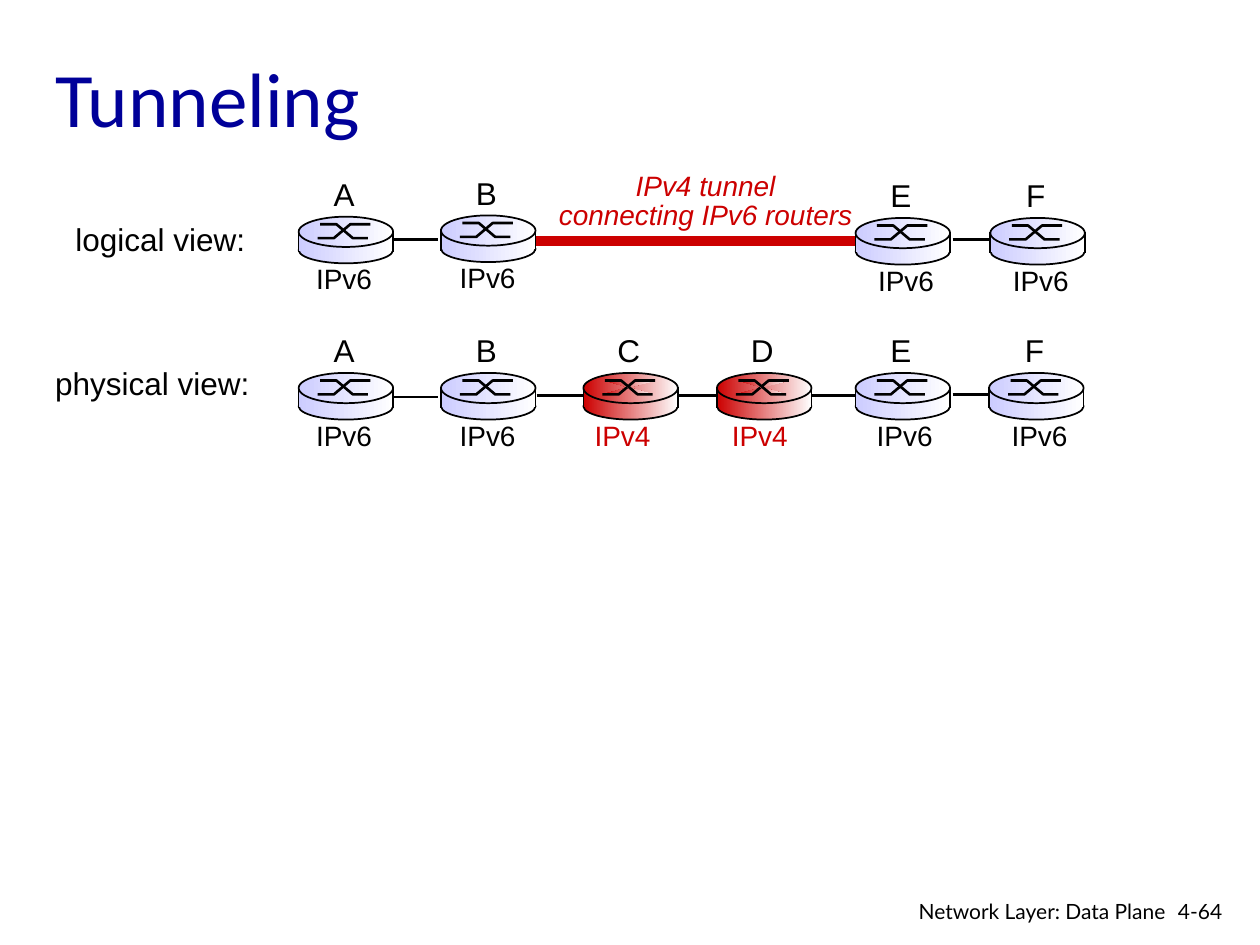
from dataclasses import dataclass

from lxml import etree
from pptx import Presentation
from pptx import util as u
from pptx.dml import color as col
from pptx.enum import shapes, text
from pptx.oxml import ns

BLACK, WHITE, RED, LILAC, NAVY = "000000", "FFFFFF", "CC0000", "CCCCFF", "000099"
WIDTH = 0.75  # of a router

prs = Presentation()
prs.slide_width, prs.slide_height = u.Inches(10), u.Inches(7.5)
slide = prs.slides.add_slide(prs.slide_layouts[6])


@dataclass
class Router:
    name: str
    left: float
    top: float
    shift: float  # protocol label, from the left edge
    proto: str = "IPv6"
    tint: str = LILAC
    ink: str = BLACK


@dataclass
class Link:
    start: float
    end: float
    top: float


def paint(code: str) -> col.RGBColor:
    return col.RGBColor.from_string(code)


def blend(shape, tint: str) -> None:
    """Fill from the tint at left to white at right."""
    shape.fill.gradient()
    shape.fill.gradient_angle = 0
    for stop, code in zip(shape.fill.gradient_stops, (tint, WHITE)):
        stop.color.rgb = paint(code)


def stroke(shape, width: float, ink: str = BLACK) -> None:
    shape.line.color.rgb = paint(ink)
    shape.line.width = u.Pt(width)


def label(lines: list[str], left: float, top: float, width: float, height: float,
          size: float, font: str = "Arial", ink: str = BLACK,
          align=text.PP_ALIGN.LEFT, wrap: bool = False, italic: bool = False,
          space: float = 1.0, anchor=text.MSO_ANCHOR.TOP) -> None:
    box = slide.shapes.add_textbox(*map(u.Inches, (left, top, width, height)))
    frame = box.text_frame
    frame.word_wrap = wrap
    frame.vertical_anchor = anchor
    for i, line in enumerate(lines):
        para = frame.add_paragraph() if i else frame.paragraphs[0]
        para.alignment = align
        para.line_spacing = space
        run = para.add_run()
        run.text = line
        run.font.name, run.font.size = font, u.Pt(size)
        run.font.italic = italic
        run.font.color.rgb = paint(ink)


def wire(x1: float, y1: float, x2: float, y2: float, width: float) -> None:
    line = slide.shapes.add_connector(shapes.MSO_CONNECTOR.STRAIGHT,
                                      *map(u.Inches, (x1, y1, x2, y2)))
    stroke(line, width)
    etree.SubElement(line._element.spPr, ns.qn("a:effectLst"))


def solid(kind, left: float, top: float, width: float, height: float):
    shape = slide.shapes.add_shape(kind, *map(u.Inches, (left, top, width, height)))
    shape.shadow.inherit = False
    return shape


def draw_router(r: Router) -> None:
    oval, rect = shapes.MSO_SHAPE.OVAL, shapes.MSO_SHAPE.RECTANGLE
    for kind, drop, height in ((oval, 0.16, 0.21), (rect, 0.14, 0.13), (oval, 0, 0.24)):
        part = solid(kind, r.left, r.top + drop, WIDTH, height)
        blend(part, r.tint)
        if kind == oval:
            stroke(part, 1)
        else:
            part.line.fill.background()

    low, high = r.top + 0.17, r.top + 0.06
    for xs, y1, y2 in (((0.15, 0.28, 0.41, 0.57), low, high),
                       ((0.17, 0.3, 0.43, 0.55), high, low)):
        pts = [(u.Inches(r.left + x), u.Inches(y))
               for x, y in zip(xs, (y1, y1, y2, y2))]
        pen = slide.shapes.build_freeform(*pts[0])
        pen.add_line_segments(pts[1:], close=False)
        cross = pen.convert_to_shape()
        cross.shadow.inherit = False
        stroke(cross, 1.5)
        if r.tint == RED:
            blend(cross, r.tint)
        else:
            cross.fill.background()

    for x in (r.left, r.left + WIDTH):
        wire(x, r.top + 0.11, x, r.top + 0.28, 1)
    label([r.name], r.left + 0.17, r.top - 0.38, 0.38, 0.4, 18,
          align=text.PP_ALIGN.CENTER)
    label([r.proto], r.left + r.shift, r.top + 0.31, 0.65, 0.37, 16, ink=r.ink)


ROUTERS = [
    Router("A", 2.37, 1.72, 0.04),
    Router("B", 3.5, 1.71, 0.05),
    Router("E", 6.79, 1.73, 0.08),
    Router("F", 7.86, 1.73, 0.08),
    Router("A", 2.37, 2.96, 0.04),
    Router("B", 3.5, 2.96, 0.05),
    Router("C", 4.63, 2.96, -0.01, "IPv4", RED, RED),
    Router("D", 5.69, 2.96, 0.02, "IPv4", RED, RED),
    Router("E", 6.79, 2.96, 0.07),
    Router("F", 7.85, 2.96, 0.08),
]
LINKS = [
    Link(3.13, 3.48, 1.9),
    Link(7.56, 7.92, 1.9),
    Link(3.13, 3.48, 3.15),
    Link(4.26, 6.8, 3.14),
    Link(7.56, 7.91, 3.13),
]

label(["Tunneling"], 0.34, 0.23, 8.5, 1.08, 44, "Calibri", NAVY, wrap=True,
      anchor=text.MSO_ANCHOR.MIDDLE)
label(["logical view:"], 0.5, 1.7, 1.55, 0.4, 18)
label(["physical view:"], 0.34, 2.84, 1.74, 0.4, 18)

tunnel = solid(shapes.MSO_SHAPE.RECTANGLE, 4.21, 1.88, 2.63, 0.07)
tunnel.fill.solid()
tunnel.fill.fore_color.rgb = paint(RED)
stroke(tunnel, 0.75, RED)
label(["IPv4 tunnel", "connecting IPv6 routers"], 4.33, 1.33, 2.54, 0.56, 16,
      ink=RED, align=text.PP_ALIGN.CENTER, italic=True, space=0.85)

for link in LINKS:
    wire(link.start, link.top, link.end, link.top, 1.5)
for router in ROUTERS:
    draw_router(router)

label(["Network Layer: Data Plane"], 6.97, 7.08, 2.38, 0.26, 12, "Lato",
      align=text.PP_ALIGN.RIGHT, wrap=True)
label(["4-64"], 9.25, 7.08, 0.61, 0.3, 12, "Lato", wrap=True)

prs.save("out.pptx")
